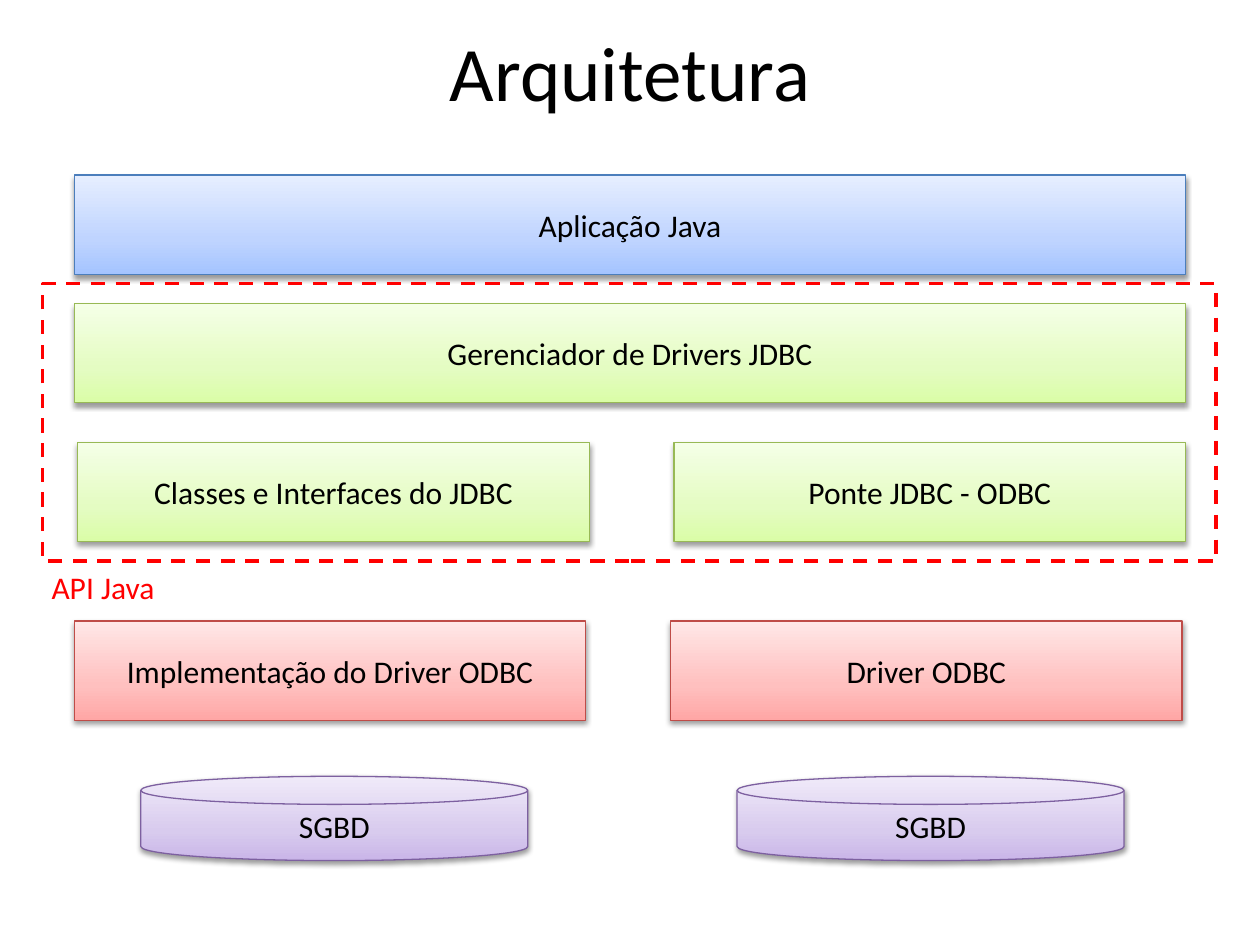
from lxml.etree import SubElement
from pptx import Presentation
from pptx.dml.color import RGBColor
from pptx.enum.dml import MSO_LINE
from pptx.enum.shapes import MSO_SHAPE
from pptx.enum.text import MSO_ANCHOR, PP_ALIGN
from pptx.oxml.ns import qn
from pptx.util import Cm, Pt

FONT = "Calibri"
INK = {"text": "000000", "api": "FF0000"}
# Each tone: outline, then gradient stops from bottom to top
TONES = {
    "blue": ("4B7EBC", "A4C4FF", "BFD4FF", "E6EEFF"),
    "green": ("98B955", "DAFDA7", "E4FCC2", "F5FFE7"),
    "red": ("BF4C48", "FFA6A5", "FFC0BF", "FFE7E7"),
    "purple": ("7D60A0", "C9B5E8", "D8CBEE", "F0EAF9"),
}
STOPS = (0, 35000, 100000)
STEP = 12.02  # distance between the two columns, cm


def add(parent, tag, **attrs):
    """Append a DrawingML child element."""
    node = SubElement(parent, qn(f"a:{tag}"))
    for key, value in attrs.items():
        node.set(key, str(value))
    return node


def write(shape, text, size=18, color="text", align=PP_ALIGN.CENTER,
          anchor=MSO_ANCHOR.MIDDLE):
    frame = shape.text_frame
    frame.word_wrap = True
    frame.vertical_anchor = anchor
    par = frame.paragraphs[0]
    par.alignment = align
    run = par.add_run()
    run.text = text
    run.font.name = FONT
    run.font.size = Pt(size)
    run.font.color.rgb = RGBColor.from_string(INK[color])


class Board:
    def __init__(self, slide):
        self.slide = slide

    def label(self, text, x, y, w, h, **style):
        box = self.slide.shapes.add_textbox(Cm(x), Cm(y), Cm(w), Cm(h))
        write(box, text, **style)

    def shape(self, kind, x, y, w, h, color, width):
        """Add an outlined shape without shadow."""
        item = self.slide.shapes.add_shape(kind, Cm(x), Cm(y), Cm(w), Cm(h))
        item.shadow.inherit = False
        item.line.color.rgb = RGBColor.from_string(color)
        item.line.width = Pt(width)
        return item

    def block(self, text, tone, x, y, w=10.31, h=2, kind=MSO_SHAPE.RECTANGLE):
        line, *shades = TONES[tone]
        item = self.shape(kind, x, y, w, h, line, 0.75)
        self.shade(item, shades)
        self.shadow(item)
        write(item, text)

    def disk(self, text, x, y):
        self.block(text, "purple", x, y, 7.8, 1.7,
                   MSO_SHAPE.FLOWCHART_MAGNETIC_DISK)

    def frame(self, x, y, w, h):
        item = self.shape(MSO_SHAPE.RECTANGLE, x, y, w, h, INK["api"], 2)
        item.fill.background()
        item.line.dash_style = MSO_LINE.DASH

    def shade(self, item, shades):
        item.fill.gradient()
        item.fill.gradient_angle = 90
        stops = item._element.spPr.find(qn("a:gradFill")).find(qn("a:gsLst"))
        for old in list(stops):
            stops.remove(old)
        for pos, color in zip(STOPS, shades):
            add(add(stops, "gs", pos=pos), "srgbClr", val=color)

    def shadow(self, item):
        effects = item._element.spPr.find(qn("a:effectLst"))
        outer = add(effects, "outerShdw", blurRad=Pt(3.1), dist=Pt(1.6),
                    dir=5400000, rotWithShape=0)
        add(add(outer, "srgbClr", val="000000"), "alpha", val=38000)


def main():
    prs = Presentation()
    prs.slide_width, prs.slide_height = Cm(25.4), Cm(19.05)
    board = Board(prs.slides.add_slide(prs.slide_layouts[6]))

    board.label("Arquitetura", 1.27, 0.33, 22.86, 2.21, size=44)
    board.block("Aplicação Java", "blue", 1.5, 3.53, w=22.4)
    board.block("Gerenciador de Drivers JDBC", "green", 1.5, 6.12, w=22.4)

    rows = (
        ("green", 1.57, 8.92,
         ("Classes e Interfaces do JDBC", "Ponte JDBC - ODBC")),
        ("red", 1.5, 12.52, ("Implementação do Driver ODBC", "Driver ODBC")),
    )
    for tone, left, top, names in rows:
        for col, name in enumerate(names):
            board.block(name, tone, left + col * STEP, top)
    for col in range(2):
        board.disk("SGBD", 2.84 + col * STEP, 15.65)

    board.label("API Java", 0.79, 11.33, 12.8, 1.02, color="api",
                align=PP_ALIGN.LEFT, anchor=MSO_ANCHOR.TOP)
    board.frame(0.86, 5.72, 23.65, 5.59)
    prs.save("out.pptx")


if __name__ == "__main__":
    main()
